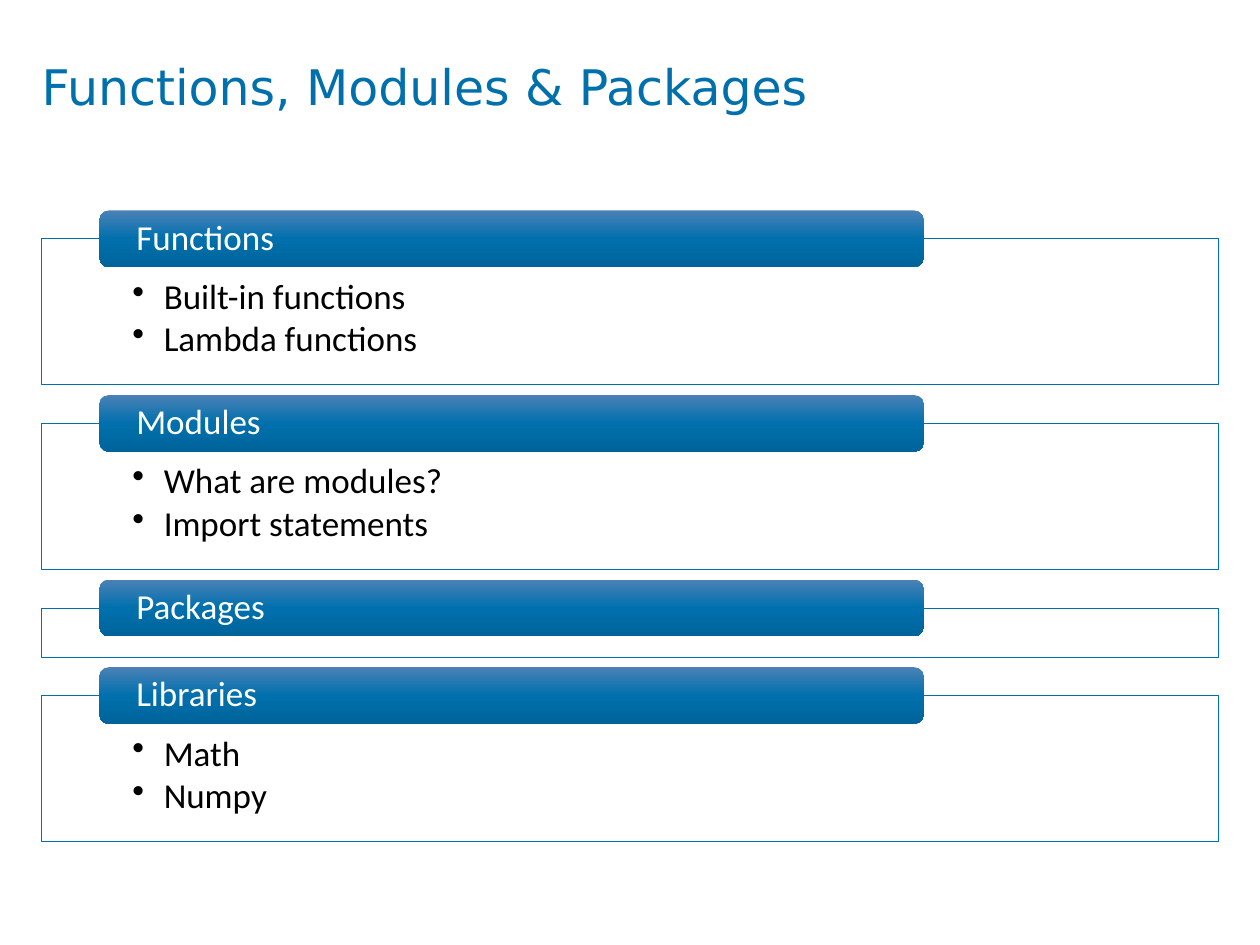
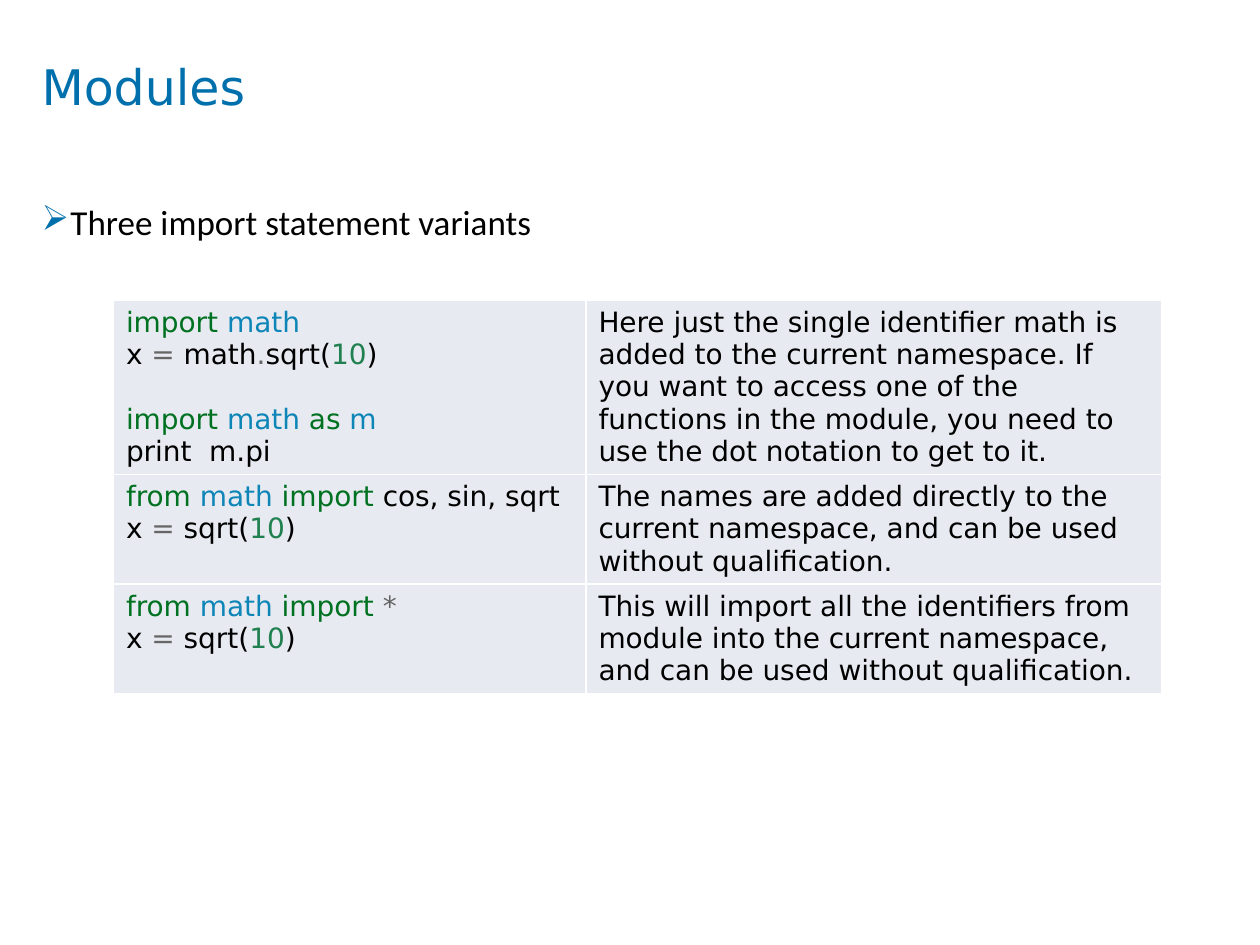
from copy import deepcopy
from dataclasses import dataclass
from typing import NamedTuple

from lxml.etree import SubElement
from pptx import Presentation
from pptx.dml.color import RGBColor
from pptx.enum.shapes import MSO_SHAPE
from pptx.enum.text import MSO_ANCHOR, MSO_AUTO_SIZE, PP_ALIGN
from pptx.oxml.ns import qn
from pptx.util import Inches, Length, Pt

# Shared grid: 100 columns by 75 rows over the slide
WIDTH, HEIGHT = Inches(10), Inches(7.5)
COLUMNS, ROWS = 100, 75
MARGIN, CONTENT_WIDTH = 3.3, 93.4

# Shared colours and fonts
BLUE, BLACK, WHITE = "0070AD", "000000", "FFFFFF"
HEADER_GRADIENT = ((0, "4B81B6"), (0.5, BLUE), (1, "00649A"))
KEYWORD, MODULE, OPERATOR, NUMBER = "007121", "0D85B6", "666666", "21804F"
CELL_FILL = "E7EBF1"
SANS, BODY = "DejaVu Sans", "Calibri"

# Section panels, in grid rows and columns
FIRST_HEADER, HEADER_HEIGHT, PANEL_GAP = 16.7, 4.5, 0.8
HEADER_LEFT, HEADER_WIDTH = 7.9, 65.4
FULL_PANEL, EMPTY_PANEL = 11.6, 3.9


class Run(NamedTuple):
    text: str
    colour: str = BLACK


@dataclass
class CodeLine:
    runs: list[Run]
    gap_before: float = 0


@dataclass
class Section:
    heading: str
    topics: tuple[str, ...] = ()

    @property
    def panel_height(self) -> float:
        return FULL_PANEL if self.topics else EMPTY_PANEL


@dataclass
class ImportVariant:
    code: list[CodeLine]
    explanation: str
    rows: float


SECTIONS = [
    Section("Functions", ("Built-in functions", "Lambda functions")),
    Section("Modules", ("What are modules?", "Import statements")),
    Section("Packages"),
    Section("Libraries", ("Math", "Numpy")),
]

SQRT_CALL = [Run("sqrt("), Run("10", NUMBER), Run(")")]
ASSIGN_X = [Run("x "), Run("= ", OPERATOR)]
FROM_MATH = [Run("from ", KEYWORD), Run("math ", MODULE), Run("import ", KEYWORD)]

VARIANTS = [
    ImportVariant(
        [
            CodeLine([Run("import ", KEYWORD), Run("math", MODULE)]),
            CodeLine([*ASSIGN_X, Run("math"), Run(".", OPERATOR), *SQRT_CALL]),
            CodeLine([Run("import ", KEYWORD), Run("math ", MODULE),
                      Run("as ", KEYWORD), Run("m", MODULE)], gap_before=18.5),
            CodeLine([Run("print  m.pi")]),
        ],
        "Here just the single identifier math is added to the current namespace. "
        "If you want to access one of the functions in the module, you need to "
        "use the dot notation to get to it.",
        13.8,
    ),
    ImportVariant(
        [CodeLine([*FROM_MATH, Run("cos, sin, sqrt")]),
         CodeLine([*ASSIGN_X, *SQRT_CALL])],
        "The names are added directly to the current namespace, and can be used "
        "without qualification.",
        8.7,
    ),
    ImportVariant(
        [CodeLine([*FROM_MATH, Run("*", OPERATOR)]),
         CodeLine([*ASSIGN_X, *SQRT_CALL])],
        "This will import all the identifiers from module into the current "
        "namespace, and can be used without qualification.",
        8.7,
    ),
]


# Helpers
def rgb(colour: str) -> RGBColor:
    return RGBColor.from_string(colour)


def col(count: float) -> Length:
    return Length(round(WIDTH * count / COLUMNS))


def row(count: float) -> Length:
    return Length(round(HEIGHT * count / ROWS))


def area(left: float, top: float, width: float, height: float) -> tuple[Length, ...]:
    return col(left), row(top), col(width), row(height)


def add_run(paragraph, run: Run, size: float, font: str) -> None:
    part = paragraph.add_run()
    part.text = run.text
    part.font.size = Pt(size)
    part.font.name = font
    part.font.color.rgb = rgb(run.colour)


def next_paragraph(frame, index: int):
    return frame.add_paragraph() if index else frame.paragraphs[0]


def set_frame(frame, left: float = 0, top: float = 0, right: float = 0,
              bottom: float = 0, anchor: MSO_ANCHOR = MSO_ANCHOR.TOP) -> None:
    frame.word_wrap = True
    frame.auto_size = MSO_AUTO_SIZE.NONE
    frame.vertical_anchor = anchor
    frame.margin_left, frame.margin_right = col(left), col(right)
    frame.margin_top, frame.margin_bottom = row(top), row(bottom)


def set_bullet(paragraph, mark: str, indent: float, colour: str) -> None:
    properties = paragraph._p.get_or_add_pPr()
    properties.set("marL", str(col(indent)))
    properties.set("indent", str(-col(indent)))
    tint = SubElement(properties, qn("a:buClr"))
    SubElement(tint, qn("a:srgbClr"), val=colour)
    SubElement(properties, qn("a:buChar"), char=mark)


def add_titled_slide(deck, title: str):
    slide = deck.slides.add_slide(deck.slide_layouts.get_by_name("Title Only"))
    heading = slide.shapes.title
    heading.left, heading.top, heading.width, heading.height = area(
        MARGIN, 4.5, CONTENT_WIDTH, 9.4)
    set_frame(heading.text_frame)
    paragraph = heading.text_frame.paragraphs[0]
    paragraph.alignment = PP_ALIGN.LEFT
    add_run(paragraph, Run(title, BLUE), 28, SANS)
    return slide


# Section panels
def add_panel(slide, section: Section, top: float) -> None:
    panel = slide.shapes.add_shape(
        MSO_SHAPE.RECTANGLE, *area(MARGIN, top, CONTENT_WIDTH, section.panel_height))
    panel.shadow.inherit = False
    panel.fill.solid()
    panel.fill.fore_color.rgb = rgb(WHITE)
    tint = panel._element.spPr.find(f"{qn('a:solidFill')}/{qn('a:srgbClr')}")
    SubElement(tint, qn("a:alpha"), val="90000")
    panel.line.color.rgb = rgb(BLUE)
    panel.line.width = Pt(0.5)
    if not section.topics:
        return
    set_frame(panel.text_frame, 7.2, 3.2, 7.2, 1.6)
    for index, topic in enumerate(section.topics):
        paragraph = next_paragraph(panel.text_frame, index)
        paragraph.alignment = PP_ALIGN.LEFT
        paragraph.level = 1
        paragraph.line_spacing = 0.9
        paragraph.space_after = Pt(2.6)
        set_bullet(paragraph, "•", 2.5, BLACK)
        add_run(paragraph, Run(topic), 20, BODY)


def add_header(slide, heading: str, top: float) -> None:
    header = slide.shapes.add_shape(
        MSO_SHAPE.ROUNDED_RECTANGLE,
        *area(HEADER_LEFT, top, HEADER_WIDTH, HEADER_HEIGHT))
    header.shadow.inherit = False
    header.line.fill.background()
    header.fill.gradient()
    header.fill.gradient_angle = 270
    stops = header._element.spPr.find(f"{qn('a:gradFill')}/{qn('a:gsLst')}")
    stops.insert(1, deepcopy(stops[0]))
    for stop, (position, colour) in zip(header.fill.gradient_stops, HEADER_GRADIENT):
        stop.position = position
        stop.color.rgb = rgb(colour)
    set_frame(header.text_frame, left=2.7, right=2.7, anchor=MSO_ANCHOR.MIDDLE)
    paragraph = header.text_frame.paragraphs[0]
    paragraph.alignment = PP_ALIGN.LEFT
    paragraph.line_spacing = 0.9
    add_run(paragraph, Run(heading, WHITE), 20, BODY)


def build_overview(deck) -> None:
    slide = add_titled_slide(deck, "Functions, Modules & Packages")
    header_top = FIRST_HEADER
    for section in SECTIONS:
        panel_top = header_top + HEADER_HEIGHT / 2
        add_panel(slide, section, panel_top)
        add_header(slide, section.heading, header_top)
        header_top = panel_top + section.panel_height + PANEL_GAP


# Import variants table
def format_cell(cell) -> None:
    properties = cell._tc.get_or_add_tcPr()
    for side in ("lnL", "lnR", "lnT", "lnB"):
        border = SubElement(properties, qn(f"a:{side}"), w=str(Pt(1)))
        fill = SubElement(border, qn("a:solidFill"))
        SubElement(fill, qn("a:srgbClr"), val=WHITE)
    cell.fill.solid()
    cell.fill.fore_color.rgb = rgb(CELL_FILL)


def fill_cell(cell, lines: list[CodeLine]) -> None:
    format_cell(cell)
    for index, line in enumerate(lines):
        paragraph = next_paragraph(cell.text_frame, index)
        if line.gap_before:
            paragraph.space_before = Pt(line.gap_before)
        for run in line.runs:
            add_run(paragraph, run, 16, SANS)


def build_modules(deck) -> None:
    slide = add_titled_slide(deck, "Modules")

    # Lead statement
    lead = slide.shapes.add_textbox(*area(MARGIN, 16.3, CONTENT_WIDTH, 50.8))
    set_frame(lead.text_frame)
    paragraph = lead.text_frame.paragraphs[0]
    paragraph.alignment = PP_ALIGN.JUSTIFY
    paragraph.line_spacing = 0.9
    paragraph.space_before = Pt(7.5)
    set_bullet(paragraph, "➢", 2.3, BLUE)
    add_run(paragraph, Run("Three import statement variants"), 20, BODY)

    # Code beside its explanation
    widths = (37.5, 45.7)
    table_height = sum(variant.rows for variant in VARIANTS)
    table = slide.shapes.add_table(
        len(VARIANTS), len(widths), *area(9, 23.8, sum(widths), table_height)).table
    table.first_row = table.horz_banding = False
    for column, width in zip(table.columns, widths):
        column.width = col(width)
    for index, variant in enumerate(VARIANTS):
        table.rows[index].height = row(variant.rows)
        fill_cell(table.cell(index, 0), variant.code)
        fill_cell(table.cell(index, 1), [CodeLine([Run(variant.explanation)])])


def main() -> None:
    deck = Presentation()
    deck.slide_width, deck.slide_height = WIDTH, HEIGHT
    build_overview(deck)
    build_modules(deck)
    deck.save("out.pptx")


if __name__ == "__main__":
    main()
